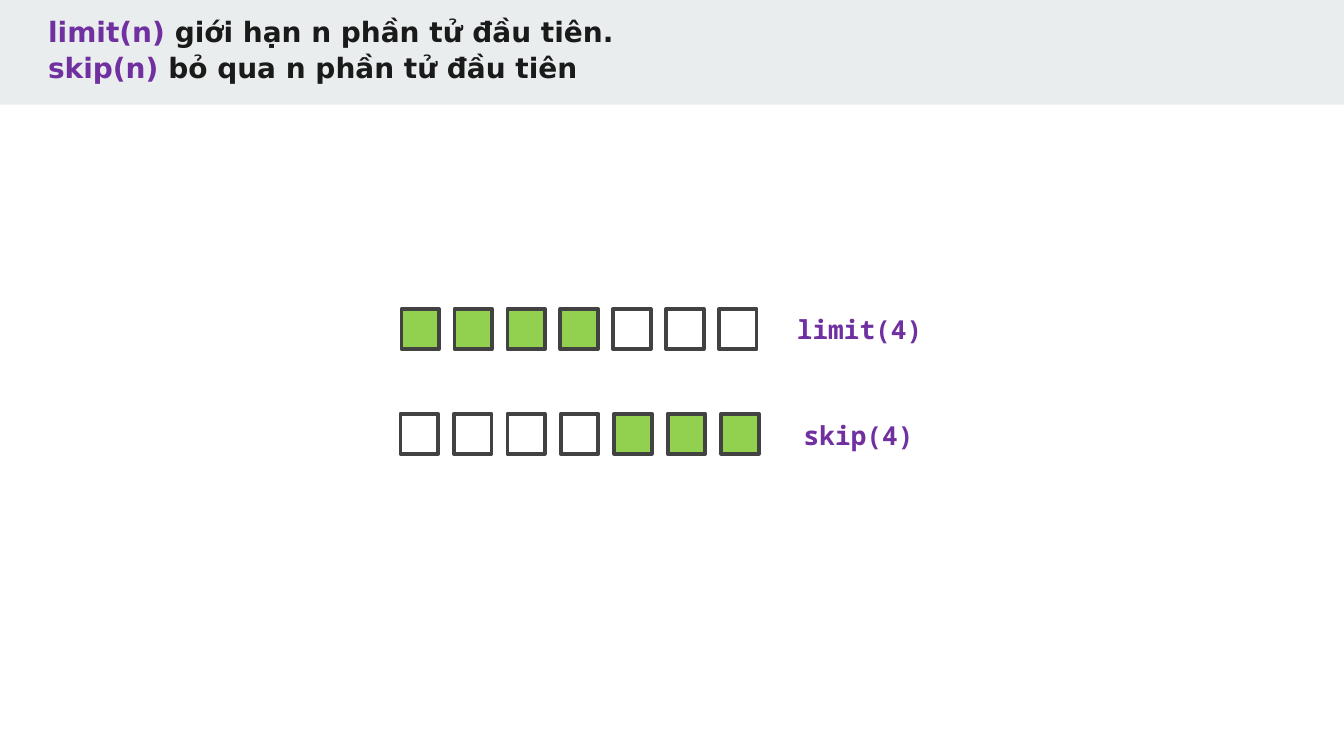
"""Builds a slide that compares limit(n) and skip(n) on a row of seven elements."""
from pptx import Presentation
from pptx.dml.color import RGBColor
from pptx.enum.shapes import MSO_SHAPE
from pptx.enum.text import MSO_ANCHOR, MSO_AUTO_SIZE, PP_ALIGN
from pptx.util import Cm, Pt

PURPLE = RGBColor(0x70, 0x30, 0xA0)
INK = RGBColor(0x1A, 0x1A, 0x1A)
BAND = RGBColor(0xE9, 0xED, 0xEE)
GREEN = RGBColor(0x92, 0xD0, 0x50)
WHITE = RGBColor(0xFF, 0xFF, 0xFF)
OUTLINE = RGBColor(0x42, 0x42, 0x42)

TITLE_LINES = [
    [("limit(n)", PURPLE), (" giới hạn n phần tử đầu tiên. ", INK)],
    [("skip(n) ", PURPLE), ("bỏ qua n phần tử đầu tiên", INK)],
]
ELEMENT_COUNT = 7
ROWS = [
    ("limit(4)", range(0, 4), 7.59, 5.84, 1.0, 14.81, 5.79, 3.2),
    ("skip(4)", range(4, 7), 7.57, 7.82, 1.01, 14.94, 7.8, 2.9),
]


def format_font(run, name, size, color):
    run.font.name = name
    run.font.size = Pt(size)
    run.font.bold = True
    run.font.color.rgb = color


def add_rectangle(slide, left, top, width, height, fill):
    shape = slide.shapes.add_shape(
        MSO_SHAPE.RECTANGLE, Cm(left), Cm(top), Cm(width), Cm(height))
    shape.shadow.inherit = False
    shape.fill.solid()
    shape.fill.fore_color.rgb = fill
    shape.line.fill.background()
    return shape


presentation = Presentation()
presentation.slide_width = Cm(25.4)
presentation.slide_height = Cm(14.29)
slide = presentation.slides.add_slide(presentation.slide_layouts[5])

title = slide.shapes.title
band = add_rectangle(slide, 0, 0, 25.4, 1.98, BAND)
title.element.addprevious(band.element)

title.left, title.top, title.width, title.height = Cm(0.66), Cm(0), Cm(24.18), Cm(1.78)
title_frame = title.text_frame
title_frame.auto_size = MSO_AUTO_SIZE.NONE
title_frame.vertical_anchor = MSO_ANCHOR.TOP
title_frame.margin_left = title_frame.margin_right = Cm(0.25)
title_frame.margin_top = title_frame.margin_bottom = Cm(0.25)
paragraph = title_frame.paragraphs[0]
paragraph.alignment = PP_ALIGN.LEFT
paragraph.line_spacing = 1.05
for number, line in enumerate(TITLE_LINES):
    if number:
        paragraph.add_line_break()
    for text, color in line:
        run = paragraph.add_run()
        run.text = text
        format_font(run, "DejaVu Sans", 15, color)

for name, kept, left, top, pitch, label_left, label_top, label_width in ROWS:
    for index in range(ELEMENT_COUNT):
        fill = GREEN if index in kept else WHITE
        element = add_rectangle(slide, left + index * pitch, top, 0.71, 0.76, fill)
        element.line.color.rgb = OUTLINE
        element.line.width = Pt(2)
    label = slide.shapes.add_textbox(
        Cm(label_left), Cm(label_top), Cm(label_width), Cm(0.86))
    label.text_frame.word_wrap = True
    label.text_frame.text = name
    format_font(label.text_frame.paragraphs[0].runs[0], "Noto Sans Mono", 14, PURPLE)

presentation.save("out.pptx")
